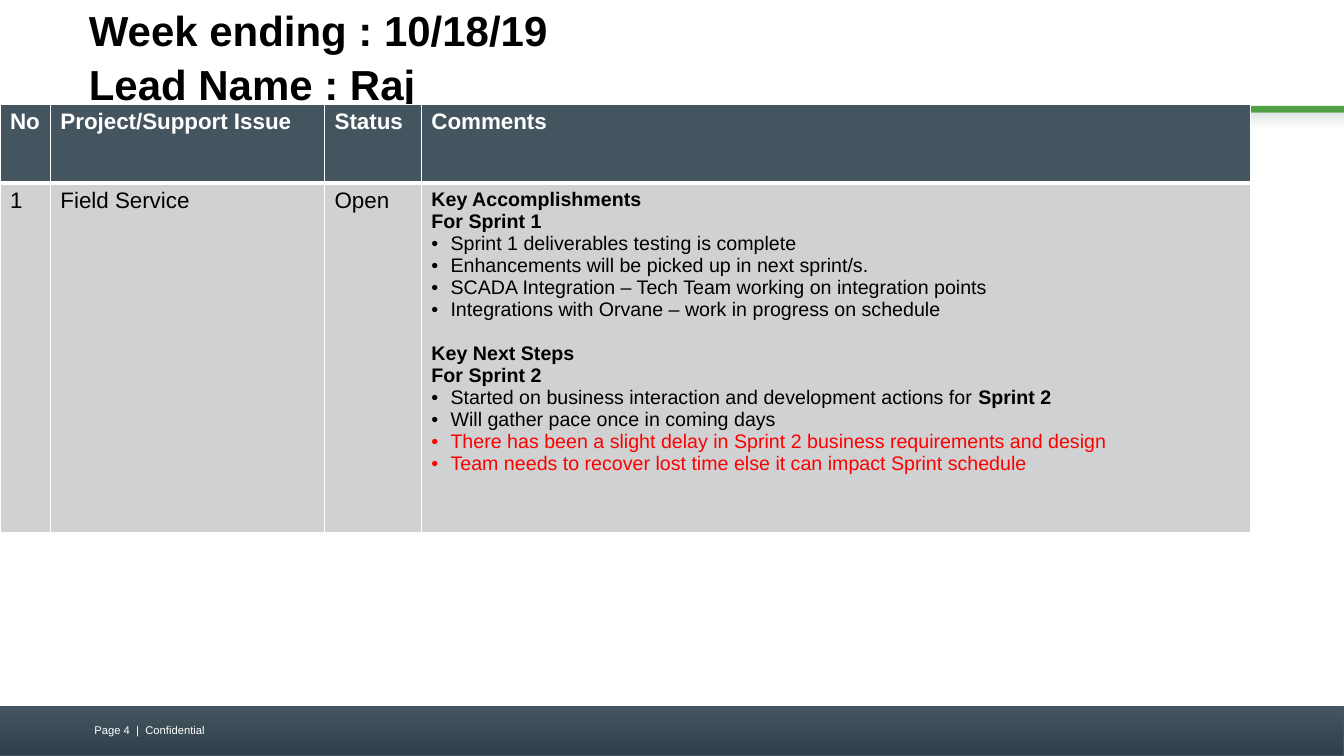
from dataclasses import dataclass

from lxml import etree
from pptx import Presentation
from pptx.dml.color import RGBColor
from pptx.enum.shapes import MSO_SHAPE
from pptx.enum.text import MSO_ANCHOR, MSO_AUTO_SIZE, PP_ALIGN
from pptx.oxml.ns import qn
from pptx.util import Cm, Pt

RECTANGLE = MSO_SHAPE.RECTANGLE
MIDDLE = MSO_ANCHOR.MIDDLE
NO_AUTOFIT = MSO_AUTO_SIZE.NONE
LEFT = PP_ALIGN.LEFT
TITLE_ONLY_LAYOUT = 5
SLIDE_WIDTH, SLIDE_HEIGHT = 33.87, 19.05


@dataclass(frozen=True)
class Theme:
    font: str = "Arial"
    white: str = "FFFFFF"
    black: str = "000000"
    alert: str = "FF0000"
    slate: str = "455560"
    slate_dark: str = "30404B"
    slate_edge: str = "43535F"
    green: str = "4F9F43"
    mist: str = "E4E5E6"
    row_grey: str = "CFD1D2"
    title_size: int = 30
    table_size: int = 16
    comment_size: int = 14
    footer_size: int = 8


class StatusSlide:
    def __init__(self, presentation, theme):
        self.theme = theme
        layout = presentation.slide_layouts[TITLE_ONLY_LAYOUT]
        self.slide = presentation.slides.add_slide(layout)

    def style(self, paragraph, size, color, bold=False):
        paragraph.alignment = LEFT
        font = paragraph.font
        font.name, font.size, font.bold = self.theme.font, Pt(size), bold
        font.color.rgb = RGBColor.from_string(color)

    def band(self, box, colors, edge=None):
        """Draw a bar in one colour, or in two that blend from top to bottom."""
        bar = self.slide.shapes.add_shape(RECTANGLE, *map(Cm, box))
        bar.shadow.inherit = False
        if len(colors) == 1:
            bar.fill.solid()
            bar.fill.fore_color.rgb = RGBColor.from_string(colors[0])
        else:
            bar.fill.gradient()
            bar.fill.gradient_angle = 270
            for stop, color in zip(bar.fill.gradient_stops, colors):
                stop.color.rgb = RGBColor.from_string(color)
        if edge:
            bar.line.color.rgb = RGBColor.from_string(edge)
            bar.line.width = Pt(0.75)
        else:
            bar.line.fill.background()

    def title(self, box, lines):
        heading = self.slide.shapes.title
        heading.left, heading.top, heading.width, heading.height = map(Cm, box)
        heading.fill.solid()
        heading.fill.fore_color.rgb = RGBColor.from_string(self.theme.white)
        frame = heading.text_frame
        frame.auto_size, frame.word_wrap = NO_AUTOFIT, True
        frame.vertical_anchor = MIDDLE
        frame.margin_left = frame.margin_right = 0
        paragraph = frame.paragraphs[0]
        for index, line in enumerate(lines):
            if index:
                paragraph.add_line_break()
            paragraph.add_run().text = line
        paragraph.line_spacing = 1.06
        self.style(paragraph, self.theme.title_size, self.theme.black, True)

    def footer(self, box, label):
        frame = self.slide.shapes.add_textbox(*map(Cm, box)).text_frame
        frame.word_wrap = True
        paragraph = frame.paragraphs[0]
        paragraph.text = label
        self.style(paragraph, self.theme.footer_size, self.theme.white)

    def table(self, left, top, widths, heights, rows):
        """Add a table with a header row; its last column is left for comments."""
        theme = self.theme
        frame = self.slide.shapes.add_table(
            len(rows), len(widths), Cm(left), Cm(top),
            Cm(sum(widths)), Cm(sum(heights)))
        grid = frame.table
        grid.horz_banding = False
        for column, width in zip(grid.columns, widths):
            column.width = Cm(width)
        for row, height in zip(grid.rows, heights):
            row.height = Cm(height)
        for row_index, texts in enumerate(rows):
            header = row_index == 0
            for cell, text in zip(grid.rows[row_index].cells, texts):
                cell.fill.solid()
                cell.fill.fore_color.rgb = RGBColor.from_string(
                    theme.slate if header else theme.row_grey)
                self.borders(cell, top=1 if row_index != 1 else 3,
                             bottom=3 if header else 1)
                paragraph = cell.text_frame.paragraphs[0]
                paragraph.text = text
                self.style(paragraph, theme.table_size,
                           theme.white if header else theme.black, header)
        return grid

    def borders(self, cell, top, bottom):
        properties = cell._tc.get_or_add_tcPr()
        edges = (("a:lnL", 1), ("a:lnR", 1), ("a:lnT", top), ("a:lnB", bottom))
        for position, (tag, points) in enumerate(edges):
            line = etree.Element(qn(tag), w=str(Pt(points)))
            fill = etree.SubElement(line, qn("a:solidFill"))
            etree.SubElement(fill, qn("a:srgbClr"), val=self.theme.white)
            properties.insert(position, line)

    def bullet(self, paragraph):
        properties = paragraph._p.get_or_add_pPr()
        indent = Cm(0.48)
        properties.set("marL", str(indent))
        properties.set("indent", str(-indent))
        etree.SubElement(properties, qn("a:buFont"), typeface=self.theme.font)
        # The bullet has to precede the default run properties.
        mark = etree.SubElement(properties, qn("a:buChar"), char="•")
        defaults = properties.find(qn("a:defRPr"))
        if defaults is not None:
            mark.addnext(defaults)

    def comments(self, cell, sections):
        """Fill a cell with sections of bold headings and bulleted points."""
        theme = self.theme
        frame = cell.text_frame
        paragraph = frame.paragraphs[0]
        for section_index, (headings, points) in enumerate(sections):
            for heading_index, heading in enumerate(headings):
                if section_index or heading_index:
                    paragraph = frame.add_paragraph()
                paragraph.text = heading
                self.style(paragraph, theme.comment_size, theme.black, True)
                if section_index and not heading_index:
                    paragraph.space_before = Pt(16)
            for text, emphasis, color in points:
                paragraph = frame.add_paragraph()
                paragraph.add_run().text = text
                if emphasis:
                    strong = paragraph.add_run()
                    strong.text = emphasis
                    strong.font.bold = True
                self.style(paragraph, theme.comment_size, color)
                self.bullet(paragraph)


def main():
    theme = Theme()
    presentation = Presentation()
    presentation.slide_width = Cm(SLIDE_WIDTH)
    presentation.slide_height = Cm(SLIDE_HEIGHT)
    status = StatusSlide(presentation, theme)

    status.band((0, 17.81, SLIDE_WIDTH, 1.24),
                (theme.slate, theme.slate_dark), theme.slate_edge)
    status.band((0, 2.84, SLIDE_WIDTH, 0.41), (theme.mist, theme.white))
    status.band((0, 2.67, SLIDE_WIDTH, 0.17), (theme.green,))
    status.title((2.24, 0.36, 28.78, 2.06),
                 ("Week ending : 10/18/19", "Lead Name : Raj"))
    status.footer((2.13, 18.11, 7.9, 0.66), "Page 4  |  Confidential")

    issues = status.table(
        0, 2.64, (1.27, 6.91, 2.44, 20.9), (1.98, 8.81),
        (("No", "Project/Support Issue", "Status", "Comments"),
         ("1", "Field Service", "Open")))
    accomplishments = (
        ("Sprint 1 deliverables testing is complete", "", theme.black),
        ("Enhancements will be picked up in next sprint/s.", "", theme.black),
        ("SCADA Integration – Tech Team working on integration points", "",
         theme.black),
        ("Integrations with Orvane – work in progress on schedule", "",
         theme.black))
    next_steps = (
        ("Started on business interaction and development actions for ",
         "Sprint 2", theme.black),
        ("Will gather pace once in coming days", "", theme.black),
        ("There has been a slight delay in Sprint 2 business requirements "
         "and design", "", theme.alert),
        ("Team needs to recover lost time else it can impact Sprint schedule",
         "", theme.alert))
    comment_cell = issues.cell(1, 3)
    comment_cell.fill.solid()
    comment_cell.fill.fore_color.rgb = RGBColor.from_string(theme.row_grey)
    status.borders(comment_cell, top=3, bottom=1)
    status.comments(comment_cell, (
        (("Key Accomplishments", "For Sprint 1"), accomplishments),
        (("Key Next Steps", "For Sprint 2"), next_steps)))
    presentation.save("out.pptx")


if __name__ == "__main__":
    main()
